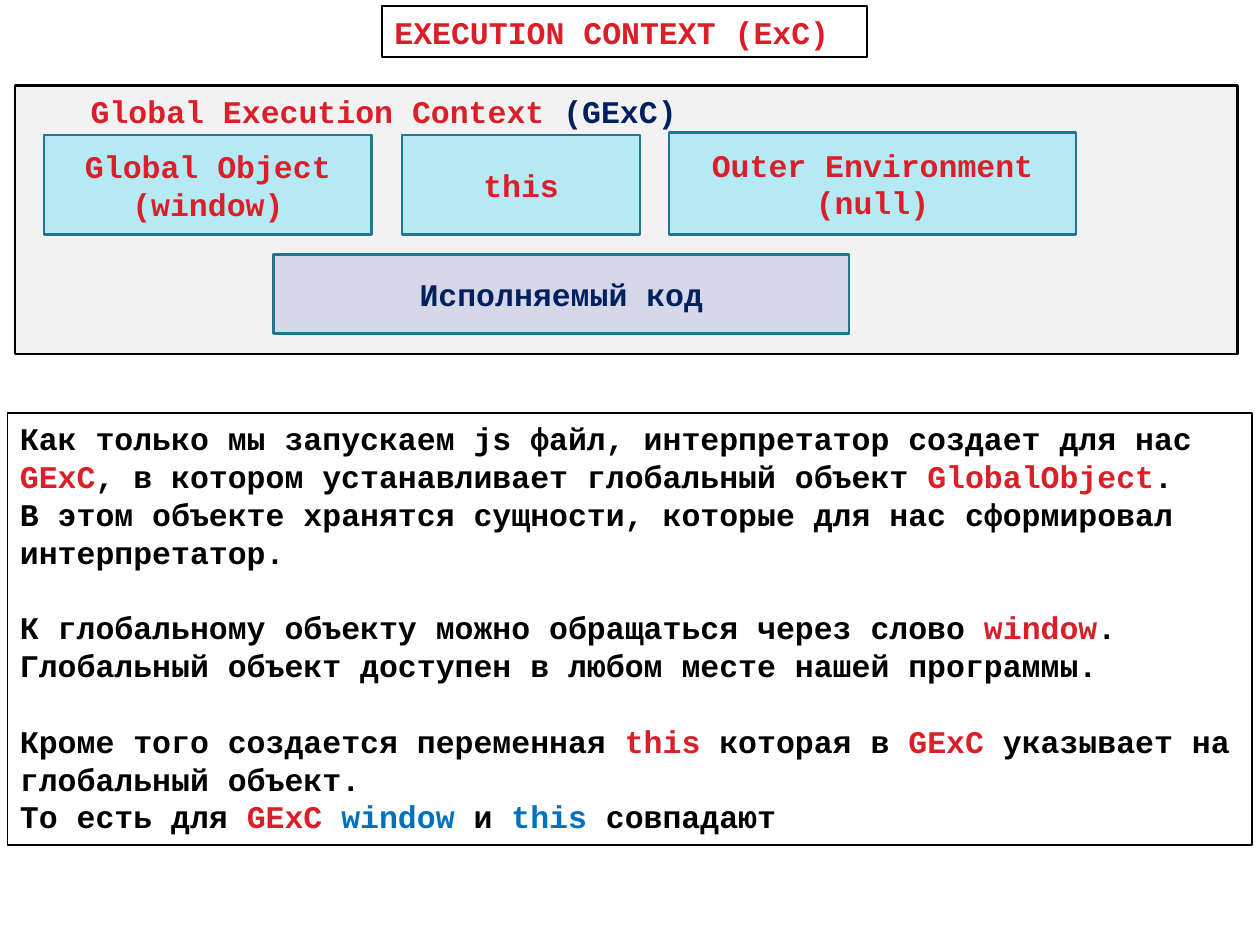
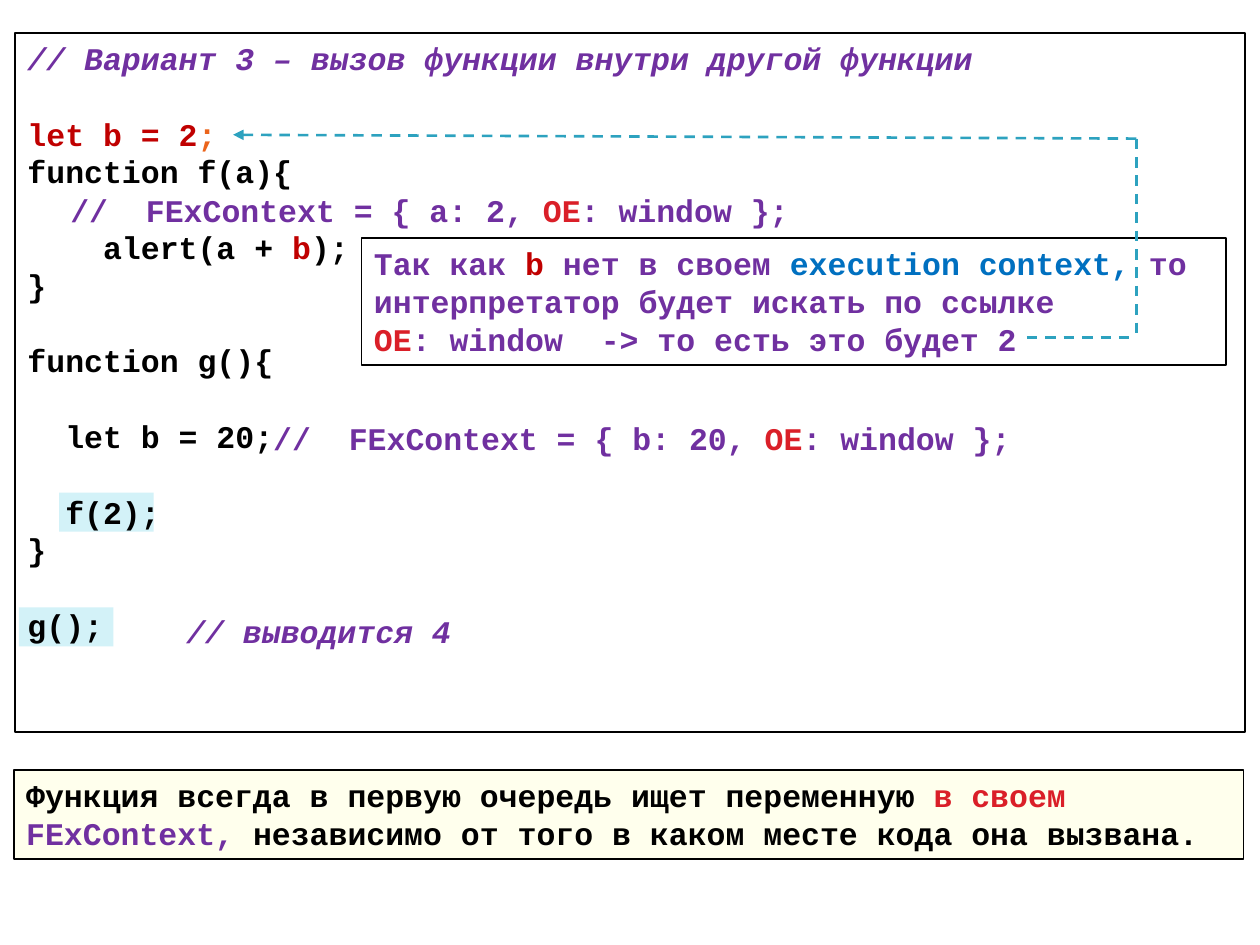
"""Build two slides on JavaScript execution contexts."""
from dataclasses import dataclass

from lxml import etree
from pptx import Presentation
from pptx.dml.color import RGBColor
from pptx.enum import dml, shapes, text
from pptx.oxml import ns
from pptx.util import Inches, Pt

FONT = "Courier New"
SIZE = Pt(18)
LINE = Pt(21.6)
CHAR = 0.15

BLACK = RGBColor(0x00, 0x00, 0x00)
WHITE = RGBColor(0xFF, 0xFF, 0xFF)
RED = RGBColor(0xDA, 0x1F, 0x28)
DARK_RED = RGBColor(0xC0, 0x00, 0x00)
ORANGE = RGBColor(0xEB, 0x64, 0x1B)
YELLOW = RGBColor(0xFF, 0xFF, 0x00)
PURPLE = RGBColor(0x70, 0x30, 0xA0)
BLUE = RGBColor(0x00, 0x70, 0xC0)
NAVY = RGBColor(0x00, 0x20, 0x60)
GREY = RGBColor(0xF2, 0xF2, 0xF2)
LILAC = RGBColor(0xD7, 0xD8, 0xE7)
CYAN = RGBColor(0xB5, 0xE9, 0xF4)
TEAL = RGBColor(0x21, 0x78, 0x8D)
ARROW = RGBColor(0x2D, 0xA2, 0xBF)

TOP = text.MSO_ANCHOR.TOP
MIDDLE = text.MSO_ANCHOR.MIDDLE
LEFT = text.PP_ALIGN.LEFT
CENTER = text.PP_ALIGN.CENTER


@dataclass
class Para:
    """A paragraph: coloured runs, blank lines above and indent in characters."""
    runs: list
    gap: int = 0
    indent: int = 0
    italic: bool = False


def write(sp, paras, anchor=TOP, align=LEFT):
    """Write the paragraphs into a shape run by run."""
    tf = sp.text_frame
    tf.word_wrap = True
    tf.auto_size = text.MSO_AUTO_SIZE.NONE
    tf.vertical_anchor = anchor
    for i, para in enumerate(paras):
        p = tf.add_paragraph() if i else tf.paragraphs[0]
        p.alignment = align
        p.line_spacing = LINE
        p.space_before = Pt(LINE.pt * para.gap)
        if para.indent:
            p._p.get_or_add_pPr().set("marL", str(Inches(CHAR * para.indent)))
        for words, color in para.runs:
            r = p.add_run()
            r.text = words
            r.font.name = FONT
            r.font.size = SIZE
            r.font.bold = True
            r.font.italic = para.italic
            r.font.color.rgb = color


def paint(sp, fill=None, opacity=100, line=None, width=1):
    """Set fill, opacity and outline of a shape."""
    if fill is None:
        sp.fill.background()
    else:
        sp.fill.solid()
        sp.fill.fore_color.rgb = fill
    if opacity < 100:
        color = sp._element.spPr.find(".//" + ns.qn("a:srgbClr"))
        etree.SubElement(color, ns.qn("a:alpha"), val=str(opacity * 1000))
    if line is None:
        sp.line.fill.background()
    else:
        sp.line.color.rgb = line
        sp.line.width = Pt(width)


def add_box(parent, at, paras=(), anchor=TOP, align=LEFT, **look):
    """Add a painted rectangle, with text if given."""
    sp = parent.add_shape(shapes.MSO_SHAPE.RECTANGLE, *map(Inches, at))
    sp.shadow.inherit = False
    paint(sp, **look)
    if paras:
        write(sp, paras, anchor, align)
    return sp


def add_label(parent, at, para, anchor=TOP):
    """Add a one-line text box."""
    write(parent.add_textbox(*map(Inches, at)), [para], anchor)


def add_block(parent, at, lines, color=RED, fill=CYAN):
    """Add a teal-edged block with centred lines."""
    add_box(parent, at, [Para([(words, color)]) for words in lines],
            MIDDLE, CENTER, fill=fill, line=TEAL, width=1.5)


def add_dash(parent, start, end, arrow=False):
    """Add a dashed line, with an arrowhead at its end if asked."""
    cx = parent.add_connector(shapes.MSO_CONNECTOR.STRAIGHT,
                              *map(Inches, start + end))
    cx.line.color.rgb = ARROW
    cx.line.width = Pt(1.5)
    cx.line.dash_style = dml.MSO_LINE.DASH
    if arrow:
        ln = cx.line._get_or_add_ln()
        etree.SubElement(ln, ns.qn("a:tailEnd"), type="triangle")
    etree.SubElement(cx._element.spPr, ns.qn("a:effectLst"))


def add_title(s, at, words):
    """Move and format the title placeholder."""
    sp = s.shapes.title
    sp.left, sp.top, sp.width, sp.height = map(Inches, at)
    paint(sp, WHITE, 7, BLACK)
    write(sp, [Para([(words, RED)])])


def context_slide(prs):
    """Show the parts of the global execution context."""
    s = prs.slides.add_slide(prs.slide_layouts[5])
    add_title(s, (3.03, 0.05, 3.85, 0.4), "EXECUTION CONTEXT (ExC)")

    group = s.shapes.add_group_shape().shapes
    frame = add_box(group, (0.12, 0.68, 9.7, 2.13),
                    [Para([("Global Execution Context ", RED), ("(GExC)", NAVY)])],
                    fill=GREY, line=BLACK, width=1.5)
    frame.text_frame.margin_left = Inches(0.6)
    add_block(group, (0.35, 1.07, 2.6, 0.79), ["Global Object", "(window)"])
    add_block(group, (3.19, 1.07, 1.89, 0.79), ["this"])
    add_block(group, (5.31, 1.05, 3.23, 0.81), ["Outer Environment", "(null)"])
    add_block(group, (2.17, 2.02, 4.57, 0.63), ["Исполняемый код"], NAVY, LILAC)

    add_box(s.shapes, (0.06, 3.28, 9.88, 3.43), [
        Para([("Как только мы запускаем js файл, интерпрeтатор создает для нас ", BLACK),
              ("GExC", RED),
              (", в котором устанавливает глобальный объект ", BLACK),
              ("GlobalObject", RED), (".", BLACK)]),
        Para([("В этом объекте хранятся сущности, которые для нас "
               "сформировал интерпрeтатор.", BLACK)]),
        Para([("К глобальному объекту можно обращаться через слово ", BLACK),
              ("window", RED), (".", BLACK)], gap=1),
        Para([("Глобальный объект доступен в любом месте нашей программы.", BLACK)]),
        Para([("Кроме того создается переменная ", BLACK), ("this ", RED),
              ("которая в ", BLACK), ("GExC", RED),
              (" указывает на глобальный объект.", BLACK)], gap=1),
        Para([("То есть для ", BLACK), ("GExC ", RED), ("window ", BLUE),
              ("и ", BLACK), ("this ", BLUE), ("совпадают", BLACK)]),
    ], fill=WHITE, opacity=7, line=BLACK)


def function_context(value):
    """Return the comment that describes a function context."""
    return Para([("//  FExContext = { " + value + ", ", PURPLE), ("OE", RED),
                 (": window };", PURPLE)])


def call_slide(prs):
    """Show how a variable is looked up in a nested call."""
    s = prs.slides.add_slide(prs.slide_layouts[6])
    for left, top in ((0.47, 3.91), (0.15, 4.82)):
        add_box(s.shapes, (left, top, 0.75, 0.31), fill=CYAN, opacity=59)

    add_box(s.shapes, (0.12, 0.26, 9.76, 5.55), [
        Para([("// Вариант 3 – вызов функции внутри другой функции", PURPLE)],
             italic=True),
        Para([("let b = 2", DARK_RED), (";", ORANGE)], gap=1),
        Para([("function f(a){", BLACK)]),
        Para([("alert(a + ", BLACK), ("b", DARK_RED), (");", BLACK)],
             gap=1, indent=4),
        Para([("}", BLACK)]),
        Para([("function g(){", BLACK)], gap=1),
        Para([("let b = 20;", BLACK)], gap=1, indent=2),
        Para([("f(2);", BLACK)], gap=1, indent=2),
        Para([("}", BLACK)]),
        Para([("g();", BLACK)], gap=1),
    ], line=BLACK)
    add_label(s.shapes, (0.46, 1.47, 6.11, 0.4), function_context("a: 2"))
    add_box(s.shapes, (0.11, 6.11, 9.76, 0.71), [
        Para([("Функция всегда в первую очередь ищет переменную ", BLACK),
              ("в своем ", RED), ("FExContext,", PURPLE),
              (" независимо от того в каком месте кода она вызвана.", BLACK)]),
    ], fill=YELLOW, opacity=7, line=BLACK)
    add_label(s.shapes, (1.38, 4.84, 2.68, 0.34),
              Para([("// выводится 4", PURPLE)], italic=True), MIDDLE)
    add_label(s.shapes, (2.07, 3.28, 6.32, 0.4), function_context("b: 20"))
    add_box(s.shapes, (2.87, 1.89, 6.86, 1.01), [
        Para([("Так как ", PURPLE), ("b ", DARK_RED), ("нет в своем ", PURPLE),
              ("execution context, ", BLUE),
              ("то интерпретатор будет искать по ссылке", PURPLE)]),
        Para([("OE", RED), (": window  -> то есть это будет 2", PURPLE)]),
    ], fill=WHITE, line=BLACK)

    group = s.shapes.add_group_shape().shapes
    upper, lower = (9.02, 1.1), (9.02, 2.68)
    add_dash(group, upper, (1.85, 1.07), arrow=True)
    add_dash(group, upper, lower)
    add_dash(group, (8.15, 2.68), lower)


def main():
    """Build and save the presentation."""
    prs = Presentation()
    prs.slide_width, prs.slide_height = Inches(10), Inches(7.5)
    context_slide(prs)
    call_slide(prs)
    prs.save("out.pptx")


main()
